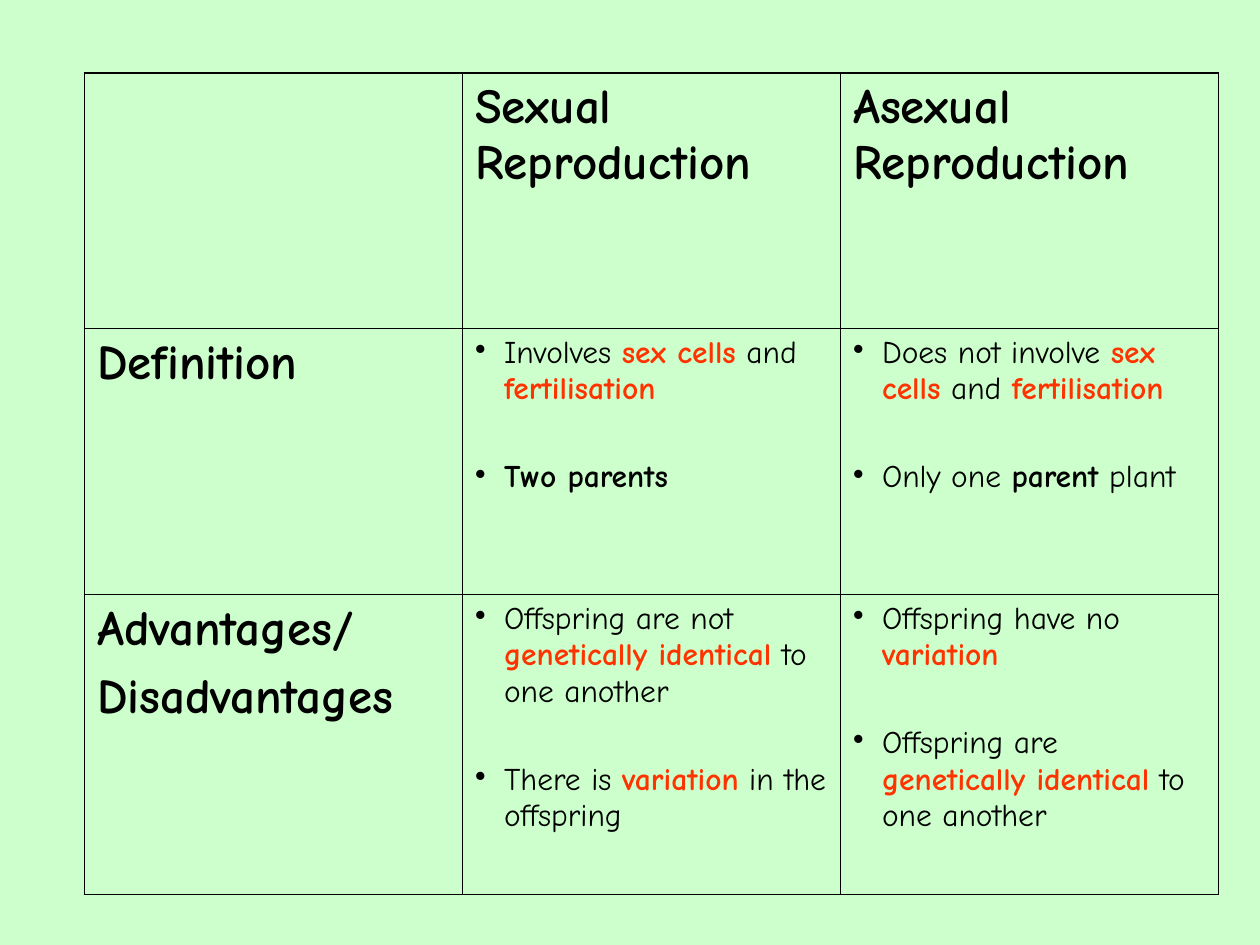
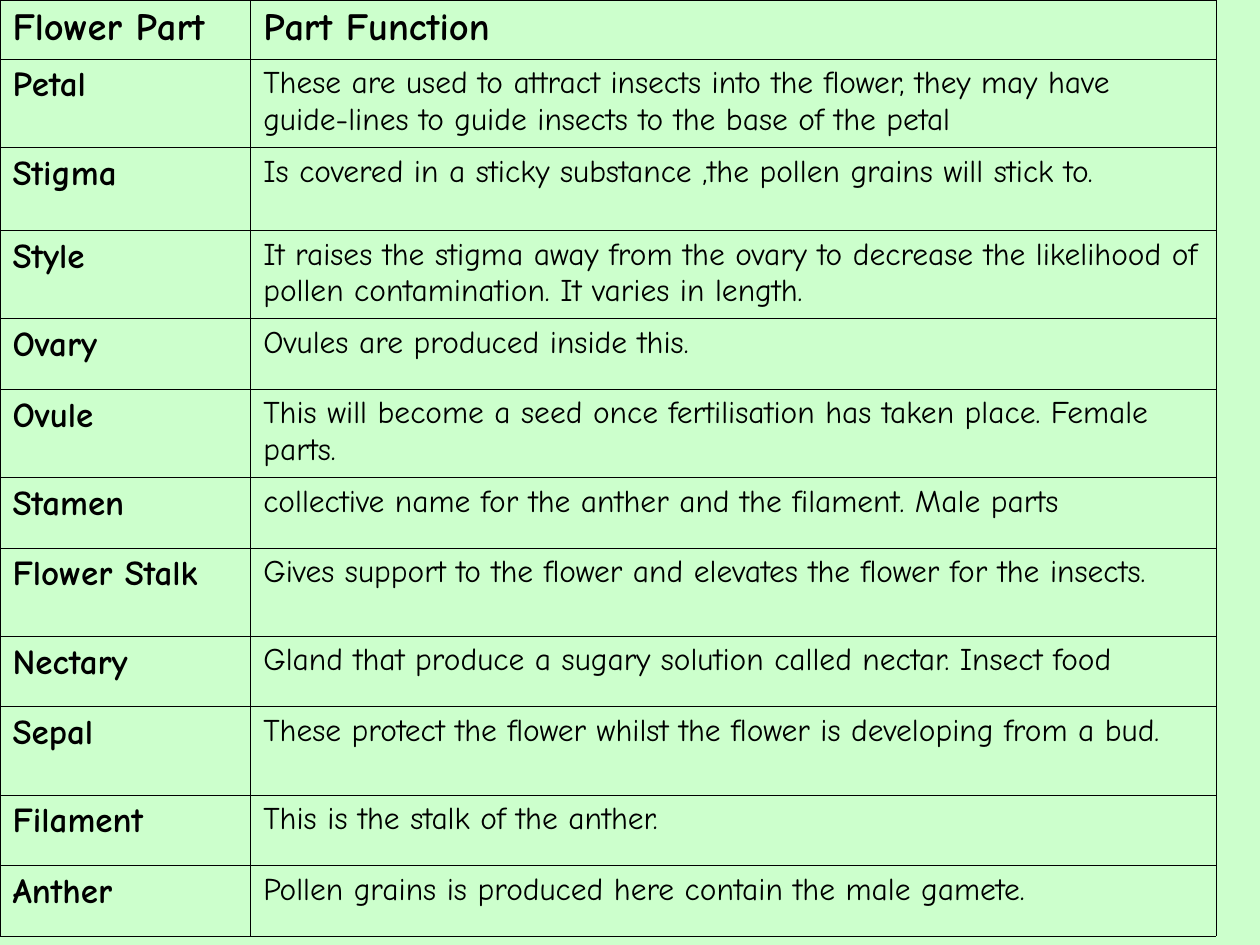
from dataclasses import dataclass
from lxml import etree
from pptx import Presentation
from pptx.dml.color import RGBColor
from pptx.oxml.ns import qn
from pptx.util import Inches, Pt


@dataclass(frozen=True)
class Theme:
    face: str = "Comic Neue"
    back: str = "CCFFCC"
    ink: str = "000000"
    key: str = "FF3300"
    title: float = 28
    head: float = 22
    label: float = 20
    body: float = 18
    thin: float = 0.45
    thick: float = 1.08


THEME = Theme()
TITLE = {"size": Pt(THEME.title), "bold": True}
HEAD = {"size": Pt(THEME.head), "bold": True}
LABEL = {"size": Pt(THEME.label), "bold": True}
BODY = {"size": Pt(THEME.body), "bold": False}
BLANK = 6
INDENT = 0.23
TITLE_GAP, POINT_GAP = 7, 29.5

# A run is plain text, or a pair of text and colour for a bold term.
SEX = ("sex cells", THEME.key)
FUSE = ("fertilisation", THEME.key)
SAME = ("genetically identical", THEME.key)
VARY = ("variation", THEME.key)

KINDS = [
    [[], ["Sexual Reproduction"], ["Asexual Reproduction"]],
    [["Definition"],
     [["Involves ", SEX, " and ", FUSE], [("Two parents", THEME.ink)]],
     [["Does not involve ", SEX, " and ", FUSE],
      ["Only one ", ("parent", THEME.ink), " plant"]]],
    [["Advantages/", "Disadvantages"],
     [["Offspring are not ", SAME, " to one another"],
      ["There is ", VARY, " in the offspring"]],
     [["Offspring have no ", VARY],
      ["Offspring are ", SAME, " to one another"]]],
]

# Each row: height, part, function.
PARTS = [
    (0.47, "Flower Part", "Part Function"),
    (0.7, "Petal", "These are used to attract insects into the flower, they may "
     "have guide-lines to guide insects to the base of the petal"),
    (0.66, "Stigma",
     "Is covered in a sticky substance ,the pollen grains will stick to."),
    (0.7, "Style", "It raises the stigma away from the ovary to decrease the "
     "likelihood of pollen contamination. It varies in length."),
    (0.56, "Ovary", "Ovules are produced inside this."),
    (0.7, "Ovule", "This will become a seed once fertilisation has taken place. "
     "Female parts."),
    (0.56, "Stamen",
     "collective name for the anther and the filament. Male parts"),
    (0.7, "Flower Stalk",
     "Gives support to the flower and elevates the flower for the insects."),
    (0.56, "Nectary",
     "Gland that produce a sugary solution called nectar. Insect food"),
    (0.7, "Sepal",
     "These protect the flower whilst the flower is developing from a bud."),
    (0.56, "Filament", "This is the stalk of the anther."),
    (0.56, "Anther", "Pollen grains is produced here contain the male gamete."),
]


def add_slide(deck):
    slide = deck.slides.add_slide(deck.slide_layouts[BLANK])
    fill = slide.background.fill
    fill.solid()
    fill.fore_color.rgb = RGBColor.from_string(THEME.back)
    return slide


def set_font(font, form, tint=THEME.ink):
    for name, value in {"name": THEME.face, **form}.items():
        setattr(font, name, value)
    font.color.rgb = RGBColor.from_string(tint)


def add_bullet(para):
    props = para._p.get_or_add_pPr()
    props.set("marL", str(Inches(INDENT)))
    props.set("indent", str(-Inches(INDENT)))
    tint = etree.SubElement(props, qn("a:buClr"))
    etree.SubElement(tint, qn("a:srgbClr"), val=THEME.ink)
    etree.SubElement(props, qn("a:buChar"), char="•")


def write_cell(cell, paras, form, gap=0, bullet=False):
    """Fill a cell with paragraphs, each a string or a list of runs."""
    frame = cell.text_frame
    for i, runs in enumerate(paras):
        para = frame.add_paragraph() if i else frame.paragraphs[0]
        if i:
            para.space_before = Pt(gap)
        if bullet:
            add_bullet(para)
        for part in [runs] if isinstance(runs, str) else runs:
            run = para.add_run()
            if isinstance(part, str):
                run.text = part
                set_font(run.font, form)
            else:
                run.text, tint = part
                set_font(run.font, {**form, "bold": True}, tint)


def add_grid(slide, box, cols, rows, edge):
    """Add an unfilled ruled table whose outer lines are edge points wide."""
    table = slide.shapes.add_table(
        len(rows), len(cols), *(Inches(n) for n in box)).table
    table.first_row = table.horz_banding = False
    for col, width in zip(table.columns, cols):
        col.width = Inches(width)
    for row, height in zip(table.rows, rows):
        row.height = Inches(height)
    for r in range(len(rows)):
        for c in range(len(cols)):
            cell = table.cell(r, c)
            cell.fill.background()
            outer = {"L": c == 0, "R": c == len(cols) - 1,
                     "T": r == 0, "B": r == len(rows) - 1}
            rule_cell(cell, outer, edge)
    return table


def rule_cell(cell, outer, edge):
    props = cell._tc.get_or_add_tcPr()
    for i, (side, is_outer) in enumerate(outer.items()):
        width = Pt(edge if is_outer else THEME.thin)
        line = etree.Element(qn(f"a:ln{side}"), w=str(width))
        fill = etree.SubElement(line, qn("a:solidFill"))
        etree.SubElement(fill, qn("a:srgbClr"), val=THEME.ink)
        props.insert(i, line)


def build_kinds(deck, box):
    cols = [box[2] / 3] * 3
    table = add_grid(add_slide(deck), box, cols, [2.03, 2.11, 2.38], THEME.thick)
    for r, row in enumerate(KINDS):
        for c, paras in enumerate(row):
            if r and c:
                write_cell(table.cell(r, c), paras, BODY, POINT_GAP, True)
            else:
                write_cell(table.cell(r, c), paras, TITLE, TITLE_GAP)


def build_parts(deck, box):
    first = 1.99
    table = add_grid(add_slide(deck), box, [first, box[2] - first],
                     [row[0] for row in PARTS], THEME.thin)
    for r, (_, part, role) in enumerate(PARTS):
        write_cell(table.cell(r, 0), [part], LABEL if r else HEAD)
        write_cell(table.cell(r, 1), [role], BODY if r else HEAD)


def main():
    deck = Presentation()
    deck.slide_width, deck.slide_height = Inches(10), Inches(7.5)
    build_kinds(deck, (0.67, 0.58, 9, 6.52))
    build_parts(deck, (0, 0, 9.65, 7.43))
    deck.save("out.pptx")


if __name__ == "__main__":
    main()
